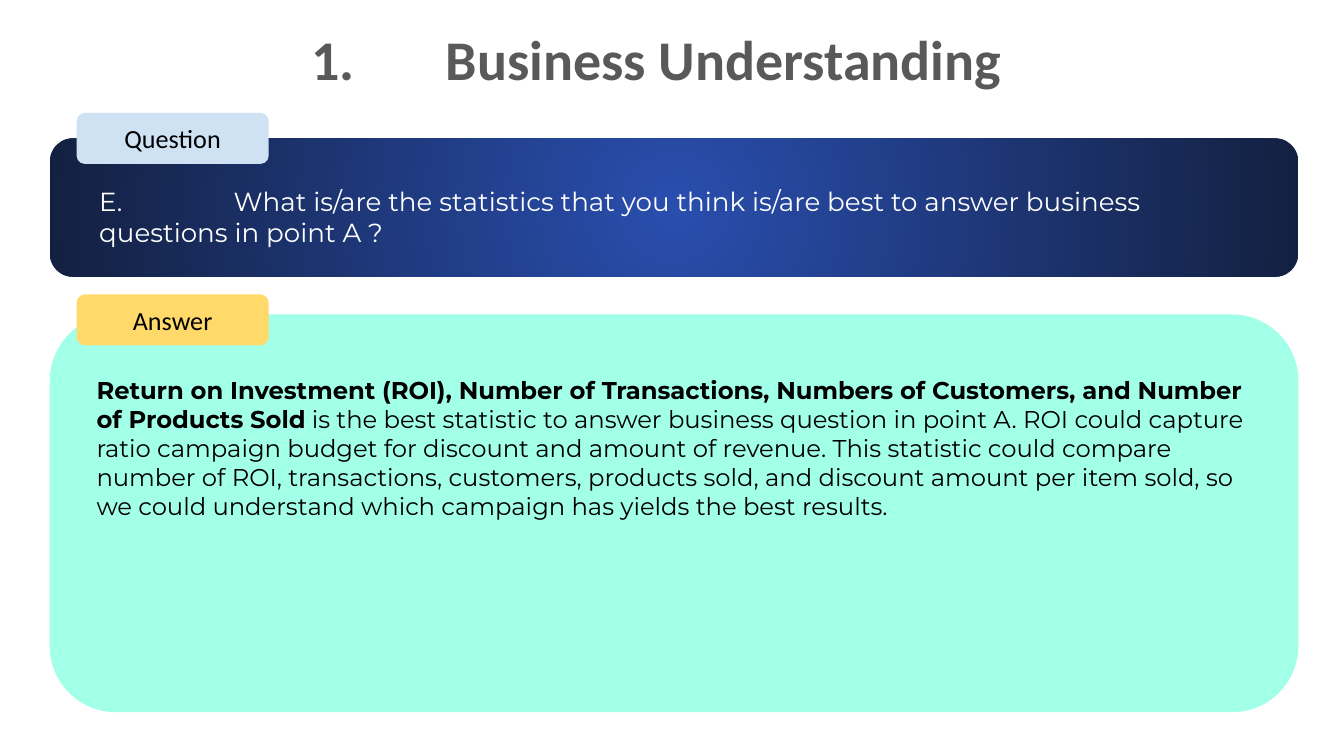
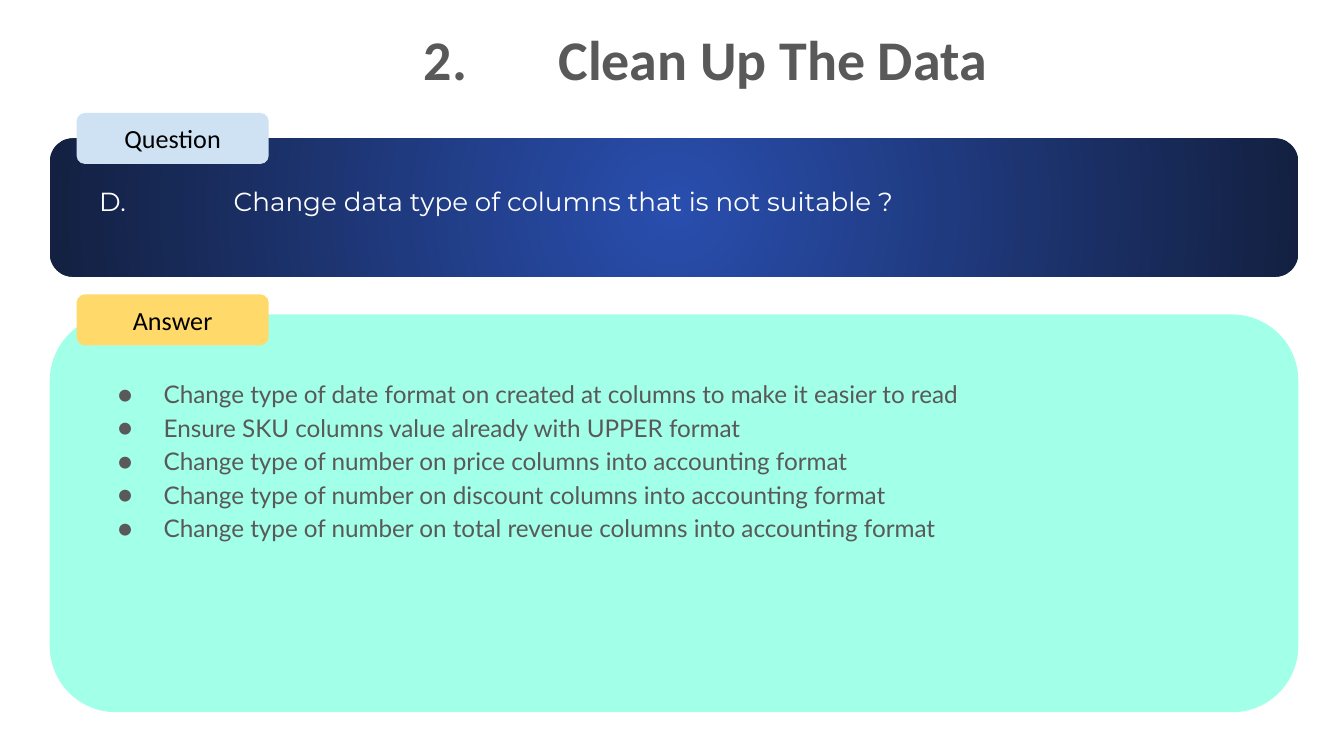
import pptx
import pptx.dml.color
import pptx.enum.shapes
import pptx.enum.text
import pptx.oxml
import pptx.oxml.ns
import pptx.util
from pptx.util import Inches

COLOURS = {
    "title": "595959",
    "glow": "294EAE",
    "navy": "132041",
    "mint": "A2FFE8",
    "question_tab": "CFE2F3",
    "answer_tab": "FFD969",
    "black": "000000",
    "white": "FFFFFF",
}
ALIGN = pptx.enum.text.PP_ALIGN
ANCHOR = pptx.enum.text.MSO_ANCHOR

# Sizes and boxes (left, top, width, height) in inches
SLIDE_WIDTH = 10
SLIDE_HEIGHT = SLIDE_WIDTH * 9 / 16
TITLE_BOX = (1.72, 0.1, 6.56, 0.66)
QUESTION_BOX = (0.37, 1.03, 9.29, 1.03)
ANSWER_BOX = (0.37, 2.34, 9.29, 2.96)

SLIDES = [
    {
        "title": "1.\tBusiness Understanding",
        "title_align": ALIGN.LEFT,
        "question": "E.\tWhat is/are the statistics that you think is/are best "
                    "to answer business questions in point A ?",
        "question_height": 0.67,
        "lead": "Return on Investment (ROI), Number of Transactions, Numbers of "
                "Customers, and Number of Products Sold",
        "rest": " is the best statistic to answer business question in point A. "
                "ROI could capture ratio campaign budget for discount and amount "
                "of revenue. This statistic could compare number of ROI, "
                "transactions, customers, products sold, and discount amount per "
                "item sold, so we could understand which campaign has yields the "
                "best results.",
    },
    {
        "title": "2.\tClean Up The Data",
        "title_align": ALIGN.CENTER,
        "question": "D.\tChange data type of columns that is not suitable ?",
        "question_height": 0.44,
        "bullets": [
            "Change type of date format on created at columns to make it easier to read",
            "Ensure SKU columns value already with UPPER format",
            "Change type of number on price columns into accounting format",
            "Change type of number on discount columns into accounting format",
            "Change type of number on total revenue columns into accounting format",
        ],
    },
]


def rgb(name):
    return pptx.dml.color.RGBColor.from_string(COLOURS[name])


def format_runs(paragraph, font_name, size, colour, bold=False):
    for run in paragraph.runs:
        run.font.name = font_name
        run.font.size = pptx.util.Pt(size)
        run.font.color.rgb = rgb(colour)
        run.font.bold = bold


def set_indent(paragraph, left, first=0):
    properties = paragraph._p.get_or_add_pPr()
    properties.set("marL", str(Inches(left)))
    properties.set("indent", str(Inches(first)))
    properties.set("defTabSz", str(Inches(1)))


def add_bullet(paragraph, font_name, colour):
    namespace = pptx.oxml.ns.nsdecls("a")
    properties = paragraph._p.get_or_add_pPr()
    for xml in (
        f'<a:buClr {namespace}><a:srgbClr val="{COLOURS[colour]}"/></a:buClr>',
        f'<a:buFont {namespace} typeface="{font_name}"/>',
        f'<a:buChar {namespace} char="●"/>',
    ):
        properties.append(pptx.oxml.parse_xml(xml))


def prepare_frame(text_frame, anchor):
    text_frame.word_wrap = True
    text_frame.vertical_anchor = anchor
    text_frame.margin_left = text_frame.margin_right = Inches(0.1)
    text_frame.margin_top = text_frame.margin_bottom = Inches(0.1)


def add_text_box(slide, box, anchor=ANCHOR.TOP, grow=True):
    text_frame = slide.shapes.add_textbox(*map(Inches, box)).text_frame
    prepare_frame(text_frame, anchor)
    if grow:
        text_frame.auto_size = pptx.enum.text.MSO_AUTO_SIZE.SHAPE_TO_FIT_TEXT
    return text_frame


def add_rounded(slide, box, colour):
    shape = slide.shapes.add_shape(
        pptx.enum.shapes.MSO_SHAPE.ROUNDED_RECTANGLE, *map(Inches, box))
    shape.adjustments[0] = 1 / 6
    shape.shadow.inherit = False
    shape.line.fill.background()
    shape.fill.solid()
    shape.fill.fore_color.rgb = rgb(colour)
    return shape


def apply_radial_gradient(shape, inner, outer):
    shape.fill.gradient()
    for stop, position, colour in zip(shape.fill.gradient_stops, (0, 1), (inner, outer)):
        stop.position = position
        stop.color.rgb = rgb(colour)
    # Swap the linear direction for a circular path from the centre
    linear = shape._element.spPr.find(".//" + pptx.oxml.ns.qn("a:lin"))
    linear.getparent().replace(linear, pptx.oxml.parse_xml(
        f'<a:path {pptx.oxml.ns.nsdecls("a")} path="circle">'
        '<a:fillToRect l="50000" t="50000" r="50000" b="50000"/></a:path>'))


def add_tab_label(slide, left, top, label, colour):
    shape = add_rounded(slide, (left, top, 1.43, 0.38), colour)
    prepare_frame(shape.text_frame, ANCHOR.MIDDLE)
    shape.text_frame.text = label
    paragraph = shape.text_frame.paragraphs[0]
    paragraph.alignment = ALIGN.CENTER
    format_runs(paragraph, "Calibri", 14, "black")


def add_title(slide, box, content):
    text_frame = add_text_box(slide, box, ANCHOR.MIDDLE, grow=False)
    text_frame.text = content["title"]
    paragraph = text_frame.paragraphs[0]
    paragraph.alignment = content["title_align"]
    set_indent(paragraph, 0.5)
    format_runs(paragraph, "Calibri", 30, "title", bold=True)


def add_question(slide, box, content):
    left, top, width, height = box
    panel = add_rounded(slide, box, "navy")
    apply_radial_gradient(panel, "glow", "navy")
    add_tab_label(slide, left + 0.2, top - 0.19, "Question", "question_tab")
    text_frame = add_text_box(
        slide, (left + 0.27, top + 0.25, width - 0.53, content["question_height"]))
    text_frame.text = content["question"]
    paragraph = text_frame.paragraphs[0]
    set_indent(paragraph, 0)
    format_runs(paragraph, "Montserrat", 14, "white")


def add_answer(slide, box, content):
    left, top, width, height = box
    add_rounded(slide, box, "mint")
    add_tab_label(slide, left + 0.2, top - 0.15, "Answer", "answer_tab")
    bullets = content.get("bullets")
    text_height = 1.43 if bullets else 1.3
    text_frame = add_text_box(slide, (left + 0.25, top + 0.35, width - 0.53, text_height))
    if bullets:
        text_frame.text = "\n".join(bullets)
        for paragraph in text_frame.paragraphs:
            paragraph.line_spacing = 1.15
            set_indent(paragraph, 0.5, -0.34)
            add_bullet(paragraph, "Lato", "title")
            format_runs(paragraph, "Lato", 13, "title")
    else:
        text_frame.text = content["lead"]
        paragraph = text_frame.paragraphs[0]
        paragraph.add_run().text = content["rest"]
        format_runs(paragraph, "Montserrat", 13, "black")
        paragraph.runs[0].font.bold = True


def add_question_slide(presentation, content):
    slide = presentation.slides.add_slide(presentation.slide_layouts[6])
    add_title(slide, TITLE_BOX, content)
    add_question(slide, QUESTION_BOX, content)
    add_answer(slide, ANSWER_BOX, content)


def main():
    presentation = pptx.Presentation()
    presentation.slide_width = Inches(SLIDE_WIDTH)
    presentation.slide_height = Inches(SLIDE_HEIGHT)
    for content in SLIDES:
        add_question_slide(presentation, content)
    presentation.save("out.pptx")


if __name__ == "__main__":
    main()
